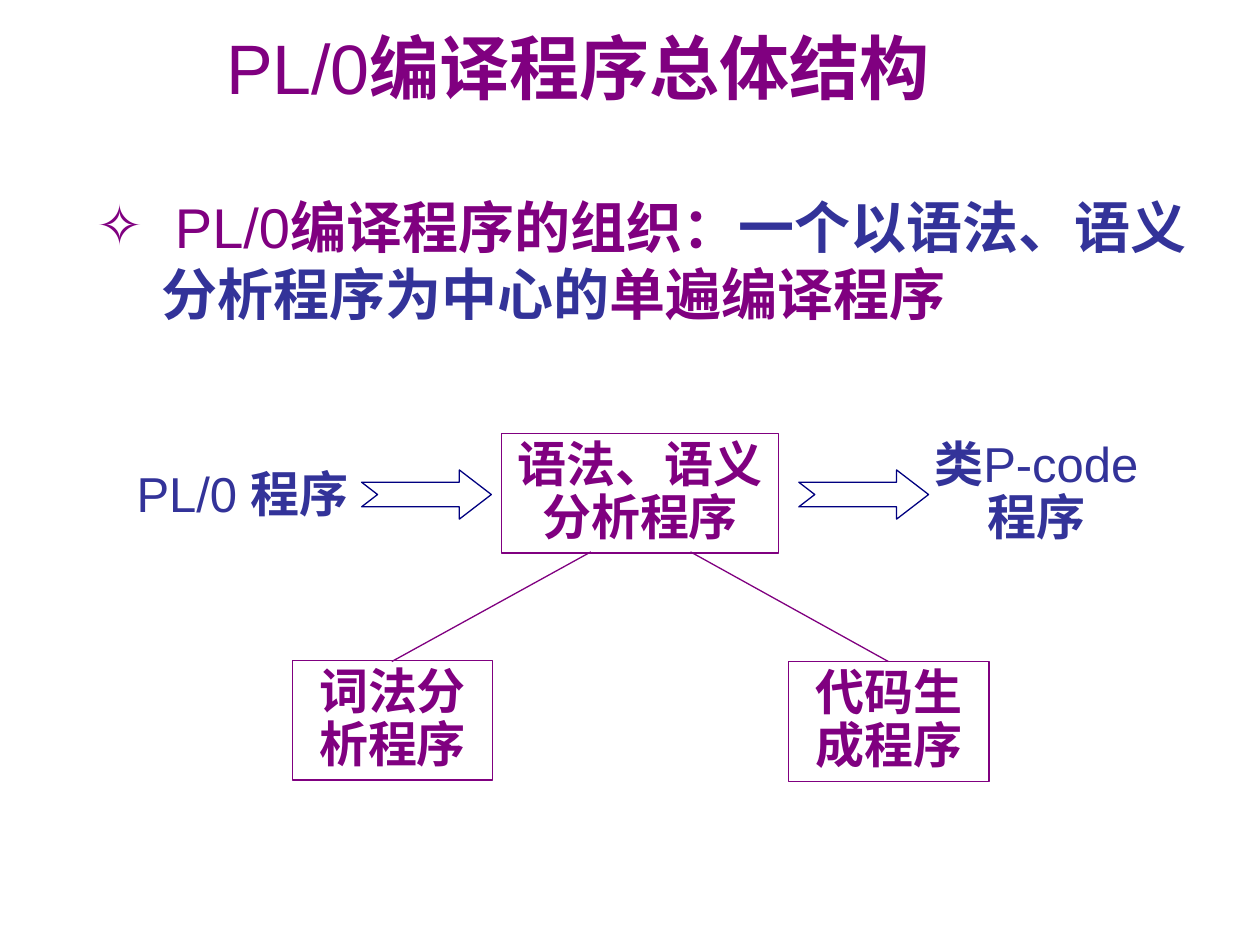
from typing import NamedTuple

from lxml.etree import SubElement
from pptx import Presentation
from pptx.dml.color import RGBColor
from pptx.enum.shapes import MSO_CONNECTOR, MSO_SHAPE
from pptx.enum.text import MSO_ANCHOR, MSO_AUTO_SIZE, PP_ALIGN
from pptx.oxml.ns import qn
from pptx.util import Inches, Pt

PURPLE, BLUE, NAVY, WHITE = "800080", "333399", "000080", "FFFFFF"
LATIN, CHINESE = "Arial", "Noto Sans CJK SC"
LINE_WIDTH = Pt(0.75)
TEXT_SIZE = 28
LINE_HEIGHT = 1.2  # line height of the Chinese text, in font sizes
TIGHT = 0.9


class Box(NamedTuple):
    left: float
    top: float
    width: float
    height: float

    def lengths(self) -> list:
        return [Inches(value) for value in self]


class Span(NamedTuple):
    text: str
    color: str
    bold: bool = True
    latin: str = LATIN


class Label(NamedTuple):
    box: Box
    spans: list


def rgb(color: str) -> RGBColor:
    return RGBColor.from_string(color)


def write(paragraph, spans: list, size: float, spacing: float = TIGHT) -> None:
    paragraph.line_spacing = Pt(round(size * LINE_HEIGHT * spacing, 1))
    paragraph.space_before = Pt(0)
    for span in spans:
        run = paragraph.add_run()
        run.text = span.text
        run.font.color.rgb = rgb(span.color)
        values = {"size": Pt(size), "bold": span.bold, "name": span.latin}
        for name, value in values.items():
            setattr(run.font, name, value)
        SubElement(run.font._element, qn("a:ea"), typeface=CHINESE)


def prepare(shape):
    frame = shape.text_frame
    values = {"word_wrap": True, "vertical_anchor": MSO_ANCHOR.TOP,
              "auto_size": MSO_AUTO_SIZE.SHAPE_TO_FIT_TEXT}
    for name, value in values.items():
        setattr(frame, name, value)
    return frame


def write_centered(shape, spans: list, size: float = TEXT_SIZE) -> None:
    paragraph = prepare(shape).paragraphs[0]
    paragraph.alignment = PP_ALIGN.CENTER
    write(paragraph, spans, size)


def set_indent(paragraph, left: float, first: float = 0) -> None:
    properties = paragraph._p.get_or_add_pPr()
    properties.set("marL", str(Inches(left)))
    properties.set("indent", str(Inches(first)))


def add_bullet(paragraph, character: str, color: str) -> None:
    properties = paragraph._p.get_or_add_pPr()
    bullet_color = SubElement(properties, qn("a:buClr"))
    SubElement(bullet_color, qn("a:srgbClr"), val=color)
    SubElement(properties, qn("a:buFont"), typeface=LATIN)
    SubElement(properties, qn("a:buChar"), char=character)


def add_outlined(slide, kind, box: Box, color: str):
    shape = slide.shapes.add_shape(kind, *box.lengths())
    shape.shadow.inherit = False
    shape.line.color.rgb = rgb(color)
    shape.line.width = LINE_WIDTH
    return shape


def add_module(slide, label: Label) -> None:
    shape = add_outlined(slide, MSO_SHAPE.RECTANGLE, label.box, PURPLE)
    shape.fill.background()
    write_centered(shape, label.spans)


def add_flow_arrow(slide, left: float) -> None:
    box = Box(left, 3.73, 1.03, 0.39)
    arrow = add_outlined(slide, MSO_SHAPE.NOTCHED_RIGHT_ARROW, box, NAVY)
    arrow.fill.solid()
    arrow.fill.fore_color.rgb = rgb(WHITE)
    arrow.adjustments[0], arrow.adjustments[1] = 0.5, 0.65


def add_link(slide, start: tuple, end: tuple) -> None:
    ends = [Inches(value) for value in (*start, *end)]
    link = slide.shapes.add_connector(MSO_CONNECTOR.STRAIGHT, *ends)
    link.line.color.rgb = rgb(PURPLE)
    link.line.width = LINE_WIDTH
    SubElement(link._element.spPr, qn("a:effectLst"))


def add_title(slide) -> None:
    title = slide.shapes.title
    title.left, title.top, title.width, title.height = Box(1.65, 0.21, 5.87, 0.7).lengths()
    write_centered(title, [Span("PL/0", PURPLE, False),
                           Span("编译程序总体结构", PURPLE, True, CHINESE)], 40)


def add_organisation(slide) -> None:
    frame = prepare(slide.shapes.add_textbox(*Box(0.67, 1.48, 9.02, 1.17).lengths()))
    first, second = frame.paragraphs[0], frame.add_paragraph()
    set_indent(first, 0.62, -0.62)
    set_indent(second, 0.51)
    write(first, [Span("PL/0", PURPLE, False), Span("编译程序的组织：", PURPLE),
                  Span("一个以语法、语义", BLUE)], 32, 1)
    write(second, [Span("分析程序为中心的", BLUE), Span("单遍编译程序", PURPLE)], 32, 1)
    add_bullet(first, "✧", PURPLE)


# Input and output of the compiler
ENDS = [
    Label(Box(0.9, 3.68, 2.05, 0.52), [Span("PL/0 ", BLUE, False), Span("程序", BLUE)]),
    Label(Box(7.2, 3.44, 2.05, 0.94),
          [Span("类", BLUE), Span("P-code", BLUE, False), Span("程序", BLUE)]),
]

# Parts of the compiler
MODULES = [
    Label(Box(3.98, 3.44, 2.2, 0.95), [Span("语法、语义分析程序", PURPLE)]),
    Label(Box(2.32, 5.24, 1.59, 0.95), [Span("词法分析程序", PURPLE)]),
    Label(Box(6.26, 5.25, 1.59, 0.95), [Span("代码生成程序", PURPLE)]),
]


def main() -> None:
    presentation = Presentation()
    presentation.slide_width, presentation.slide_height = Inches(10), Inches(7.5)
    slide = presentation.slides.add_slide(presentation.slide_layouts[5])

    # Heading and summary
    add_title(slide)
    add_organisation(slide)

    # Structure diagram
    for label in ENDS:
        write_centered(slide.shapes.add_textbox(*label.box.lengths()), label.spans)
    for left in (2.87, 6.34):
        add_flow_arrow(slide, left)
    for module in MODULES:
        add_module(slide, module)
    add_link(slide, (3.11, 5.25), (4.69, 4.38))
    add_link(slide, (5.48, 4.38), (7.05, 5.25))

    presentation.save("out.pptx")


if __name__ == "__main__":
    main()
